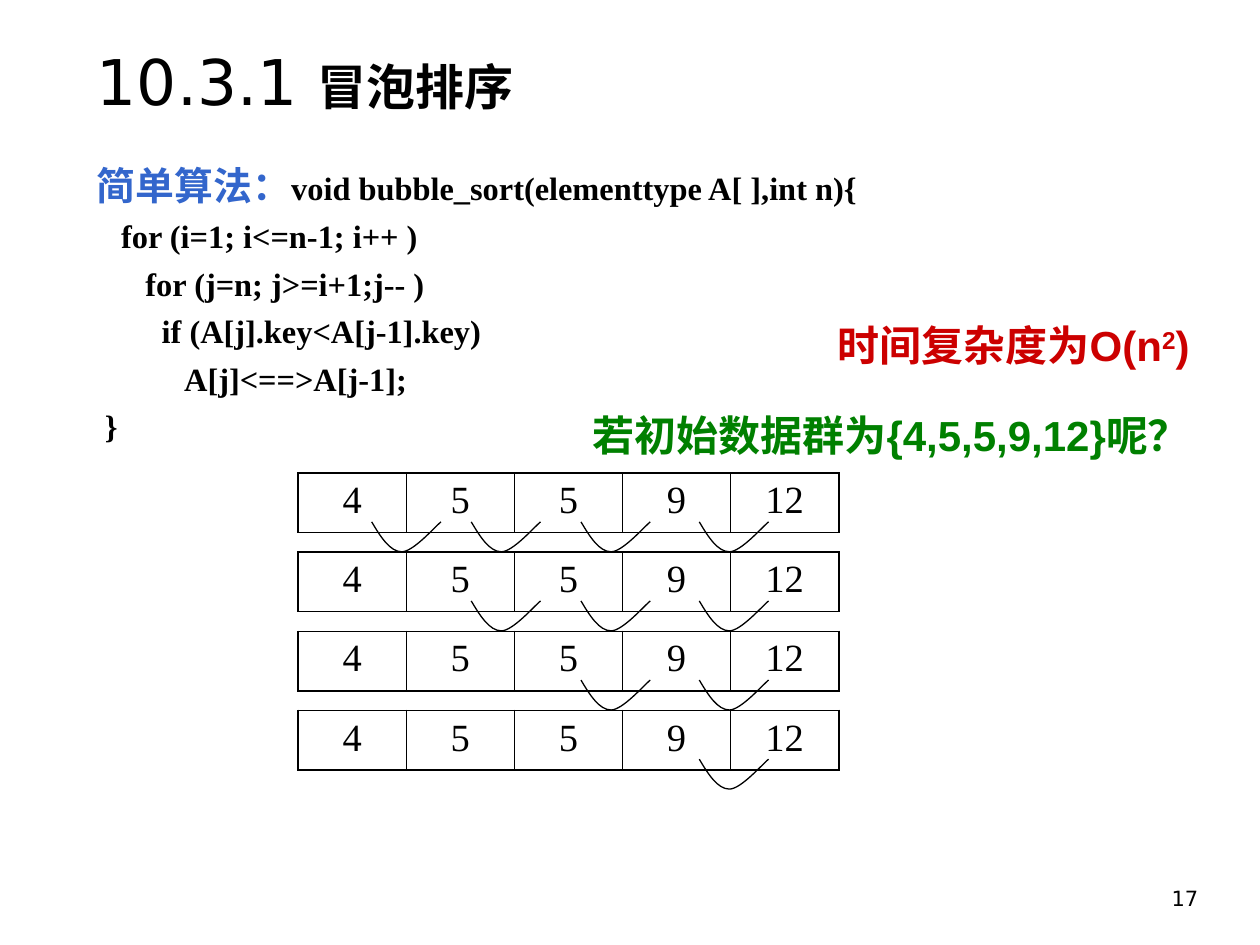
import pptx
import pptx.util
import pptx.dml.color
import pptx.enum.text
from lxml import etree
import pptx.oxml.ns

Pt = pptx.util.Pt
RGBColor = pptx.dml.color.RGBColor
ALIGN = pptx.enum.text.PP_ALIGN
ANCHOR = pptx.enum.text.MSO_ANCHOR
AUTO = pptx.enum.text.MSO_AUTO_SIZE
qn = pptx.oxml.ns.qn

BLACK = RGBColor(0x00, 0x00, 0x00)
BLUE = RGBColor(0x33, 0x66, 0xCC)
RED = RGBColor(0xCC, 0x00, 0x00)
GREEN = RGBColor(0x00, 0x80, 0x00)

NUMBER = dict(name="DejaVu Sans", size=Pt(12), color=BLACK)
SECTION = dict(name="DejaVu Sans", size=Pt(36), color=BLACK, bold=False)
HEADING = dict(name="Cambria", size=Pt(28), color=BLACK, bold=True)
LABEL = dict(name="Times New Roman", size=Pt(22.2), color=BLUE, bold=True)
CODE = dict(name="Times New Roman", size=Pt(18.5), color=BLACK, bold=True)
COST = dict(name="Arial", size=Pt(24), color=RED, bold=True)
QUESTION = dict(COST, color=GREEN)
CELL = dict(name="Times New Roman", size=Pt(22), color=BLACK)

CODE_LINES = [
    "   for (i=1; i<=n-1; i++ )",
    "      for (j=n; j>=i+1;j-- )",
    "        if (A[j].key<A[j-1].key)",
    "           A[j]<==>A[j-1];",
    " }",
]
VALUES = ["4", "5", "5", "9", "12"]
ARC_LEFTS = [212.4, 269.3, 332, 399.6]
ARC_CURVES = [
    [(5, 8.5), (10.5, 17.1), (17.2, 17.1)],
    [(23.8, 17.1), (36, 2.9), (39.6, 0)],
]


class Deck:
    thin, thick = Pt(0.45), Pt(1.08)

    def __init__(self, prs):
        self.s = prs.slides.add_slide(prs.slide_layouts[1])

    def run(self, p, text, style, baseline=None):
        r = p.add_run()
        r.text = text
        for key, value in style.items():
            if key == "color":
                r.font.color.rgb = value
            else:
                setattr(r.font, key, value)
        if baseline:
            r._r.get_or_add_rPr().set("baseline", str(baseline))

    def paragraph(self, p, runs, **fmt):
        for key, value in fmt.items():
            setattr(p, key, value)
        for item in runs:
            self.run(p, *item)

    def placeholder(self, index, box, lines, anchor, **fmt):
        sp = self.s.placeholders[index]
        sp.left, sp.top, sp.width, sp.height = map(Pt, box)
        tf = sp.text_frame
        tf.auto_size = AUTO.NONE
        tf.vertical_anchor = anchor
        for i, runs in enumerate(lines):
            p = tf.paragraphs[0] if i == 0 else tf.add_paragraph()
            self.paragraph(p, runs, **dict(fmt, space_before=fmt["space_before"] if i else Pt(0)))
        return tf

    def hanging(self, tf, indent):
        for p in tf.paragraphs:
            pPr = p._p.get_or_add_pPr()
            pPr.set("marL", str(Pt(indent)))
            pPr.set("indent", str(-Pt(indent)))
            etree.SubElement(pPr, qn("a:buNone"))

    def text(self, box, runs, align=ALIGN.LEFT, wrap=True):
        tf = self.s.shapes.add_textbox(*map(Pt, box)).text_frame
        tf.word_wrap = wrap
        self.paragraph(tf.paragraphs[0], runs, alignment=align)

    def border(self, cell, side, width):
        tcPr = cell._tc.get_or_add_tcPr()
        ln = etree.SubElement(tcPr, qn("a:ln" + side), w=str(width))
        fill = etree.SubElement(ln, qn("a:solidFill"))
        etree.SubElement(fill, qn("a:srgbClr"), val=str(BLACK))

    def array(self, box, values):
        table = self.s.shapes.add_table(1, len(values), *map(Pt, box)).table
        table.first_row = table.horz_banding = False
        for i, value in enumerate(values):
            table.columns[i].width = Pt(box[2] / len(values))
            cell = table.cell(0, i)
            self.border(cell, "L", self.thick if i == 0 else self.thin)
            self.border(cell, "R", self.thick if i == len(values) - 1 else self.thin)
            self.border(cell, "T", self.thick)
            self.border(cell, "B", self.thick)
            cell.fill.background()
            self.paragraph(cell.text_frame.paragraphs[0], [(value, CELL)], alignment=ALIGN.CENTER)

    def arc(self, left, top):
        fb = self.s.shapes.build_freeform(Pt(left), Pt(top))
        ends = [curve[-1] for curve in ARC_CURVES]
        fb.add_line_segments([(Pt(left + x), Pt(top + y)) for x, y in ends], close=False)
        sp = fb.convert_to_shape()
        for segment, curve in zip(list(sp._element.iter(qn("a:lnTo"))), ARC_CURVES):
            bezier = etree.Element(qn("a:cubicBezTo"))
            for x, y in curve:
                etree.SubElement(bezier, qn("a:pt"), x=str(Pt(x)), y=str(Pt(y)))
            segment.getparent().replace(segment, bezier)
        sp.shadow.inherit = False
        sp.fill.background()
        sp.line.color.rgb = BLACK
        sp.line.width = Pt(0.75)


def main():
    prs = pptx.Presentation()
    prs.slide_width, prs.slide_height = Pt(720), Pt(540)
    deck = Deck(prs)

    deck.text((535.7, 502.6, 156.2, 37.4), [("17", NUMBER)], ALIGN.RIGHT)
    deck.placeholder(0, (48.2, -24.8, 630, 95.8),
                     [[("10.3.1 ", SECTION), ("冒泡排序", HEADING)]],
                     ANCHOR.BOTTOM, alignment=ALIGN.LEFT, space_before=Pt(0))
    first = [("简单算法：", LABEL), ("void bubble_sort(elementtype A[ ],int n){", CODE)]
    body = deck.placeholder(1, (48.2, 88.6, 640.8, 175.7),
                            [first] + [[(line, CODE)] for line in CODE_LINES],
                            ANCHOR.TOP, alignment=ALIGN.JUSTIFY, space_before=Pt(4.9))
    deck.hanging(body, 36.7)
    deck.text((471.6, 179.3, 226, 36),
              [("时间复杂度为O(n", COST), ("2", COST, 30000), (")", COST)], wrap=False)
    deck.text((331.5, 230.4, 374.4, 36), [("若初始数据群为{4,5,5,9,12}呢？", QUESTION)])

    for i in range(len(VALUES) - 1):
        top = 270.4 + 45.2 * i
        deck.array((170.3, top, 309, 33.9), VALUES)
        for left in ARC_LEFTS[i:]:
            deck.arc(left, top + 27.8)

    prs.save("out.pptx")


if __name__ == "__main__":
    main()
